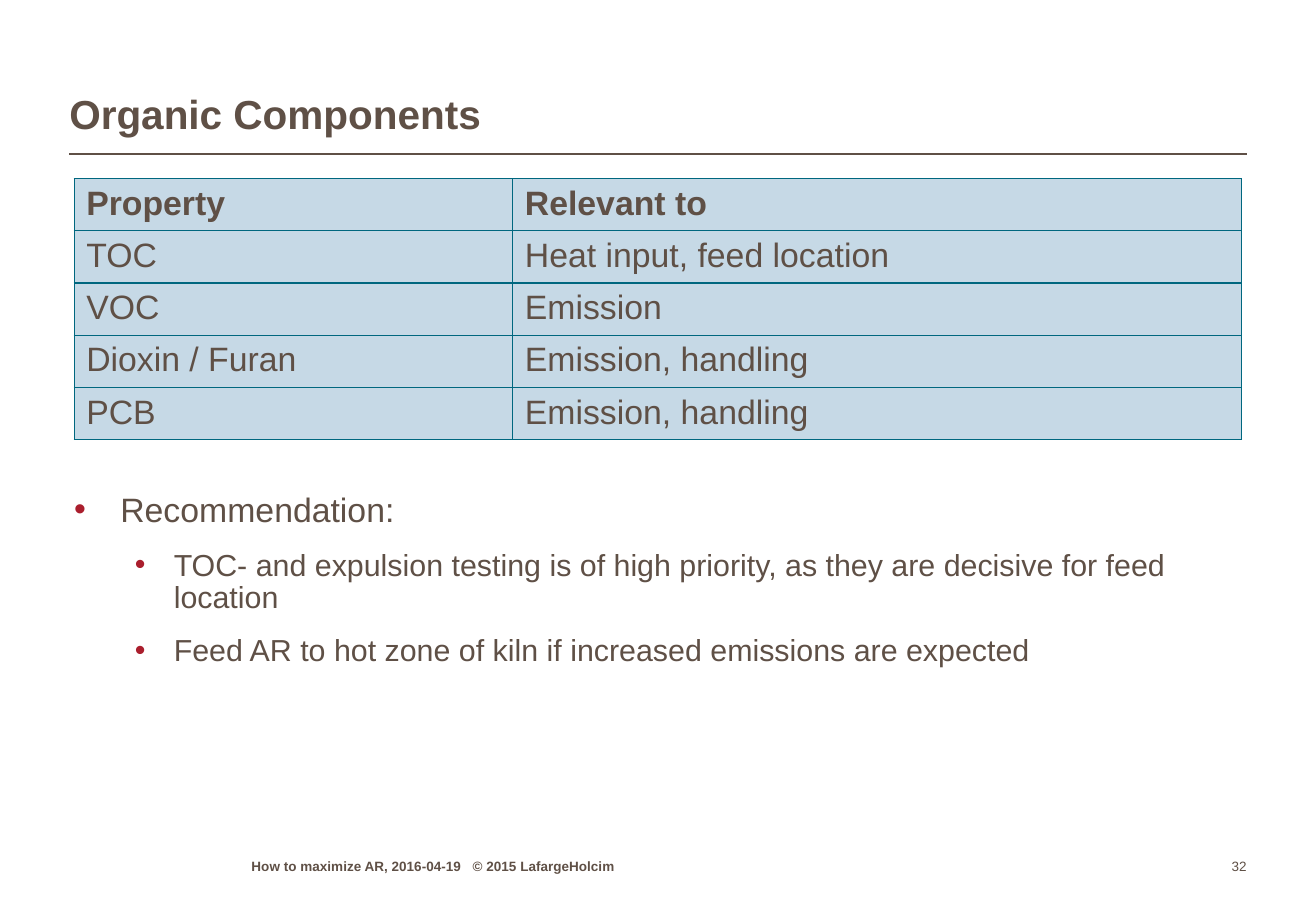
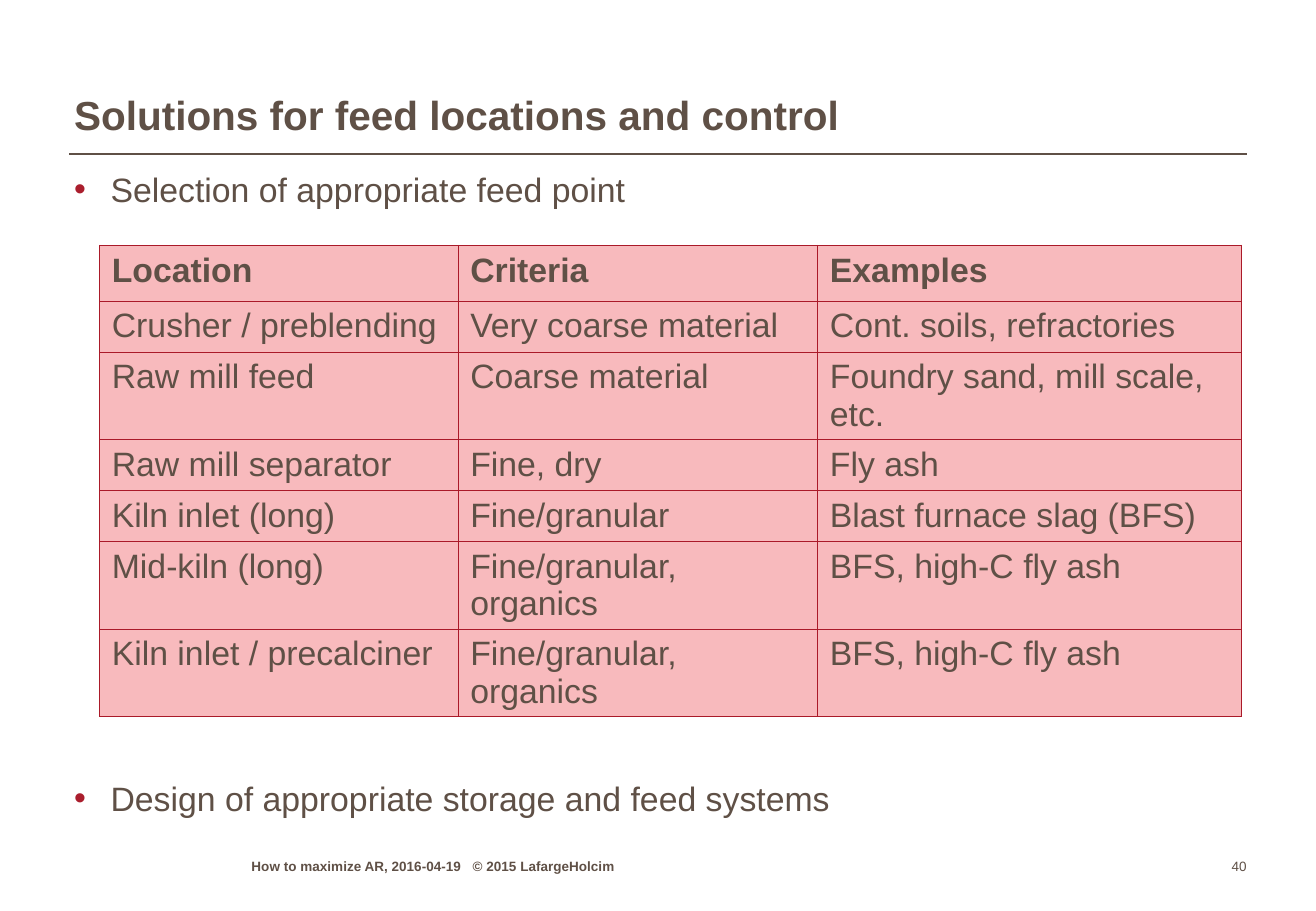
import dataclasses
import lxml.etree
import pptx
import pptx.dml.color
import pptx.enum.shapes
import pptx.enum.text
import pptx.oxml.ns
import pptx.util

Inches = pptx.util.Inches
Pt = pptx.util.Pt
RGB = pptx.dml.color.RGBColor.from_string
ALIGN = pptx.enum.text.PP_ALIGN
ANCHOR = pptx.enum.text.MSO_ANCHOR


@dataclasses.dataclass(frozen=True)
class Theme:
    font: str = "Arial"
    ink: str = "5F5046"
    bullet: str = "AA1E2D"
    blue: tuple = ("C6D9E6", "00677F")
    pink: tuple = ("F8BABD", "AA1A29")
    title: int = 24
    body: int = 20
    sub: int = 18
    small: int = 8
    gap: int = 12


def add(parent, tag, **attrs):
    return lxml.etree.SubElement(parent, pptx.oxml.ns.qn(tag), attrs)


class Deck:
    """Builds slides that share one theme, title rule and footer."""

    def __init__(self, theme):
        self.theme = theme
        self.file = pptx.Presentation()
        self.file.slide_width = Inches(10.83)
        self.file.slide_height = Inches(7.5)

    def start(self, title, number, left=0.57, base=1.14):
        layout = self.file.slide_layouts[1]
        self.slide = self.file.slides.add_slide(layout)
        self.rule()
        shape = self.slide.shapes.title
        frame = self.frame(shape, (left, 0.25, 9.65, base - 0.25), ANCHOR.BOTTOM)
        frame.text = title
        self.style(frame.paragraphs[0], self.theme.title, True, 0.95)
        self.foot(number)

    def rule(self):
        line = self.slide.shapes.add_connector(
            pptx.enum.shapes.MSO_CONNECTOR.STRAIGHT,
            Inches(0.57), Inches(1.27), Inches(10.26), Inches(1.27))
        line.line.color.rgb = RGB(self.theme.ink)
        line.line.width = Pt(1)
        add(line._element.spPr, "a:effectLst")

    def foot(self, number):
        note = self.label("How to maximize AR, 2016-04-19\t© 2015 LafargeHolcim", 2.07, 3.47)
        tabs = add(note._p.get_or_add_pPr(), "a:tabLst")
        add(tabs, "a:tab", pos=str(Inches(1.82)), algn="l")
        self.style(note, self.theme.small, True)
        page = self.label(str(number), 9.79, 0.47)
        self.style(page, self.theme.small, align=ALIGN.RIGHT)

    def label(self, text, left, width):
        box = self.slide.shapes.add_textbox(0, 0, 0, 0)
        frame = self.frame(box, (left, 7.02, width, 0.18), ANCHOR.BOTTOM)
        frame.text = text
        return frame.paragraphs[0]

    def frame(self, shape, area, anchor):
        shape.left, shape.top, shape.width, shape.height = map(Inches, area)
        frame = shape.text_frame
        frame.margin_left = frame.margin_right = 0
        frame.margin_top = frame.margin_bottom = 0
        frame.vertical_anchor = anchor
        frame.word_wrap = True
        frame.auto_size = pptx.enum.text.MSO_AUTO_SIZE.NONE
        return frame

    def style(self, para, size, bold=False, pitch=1.0, align=ALIGN.LEFT):
        para.alignment = align
        para.line_spacing = pitch
        for run in para.runs:
            run.font.name = self.theme.font
            run.font.size = Pt(size)
            run.font.bold = bold
            run.font.color.rgb = RGB(self.theme.ink)

    def bullets(self, items, area, indents, pitch=1.0, gap=None):
        frame = self.frame(self.slide.placeholders[1], area, ANCHOR.TOP)
        frame.text = "\n".join(text for text, _ in items)
        sizes = self.theme.body, self.theme.sub
        for index, (para, (_, level)) in enumerate(zip(frame.paragraphs, items)):
            para.level = level
            margin, hang = indents[level]
            props = para._p.get_or_add_pPr()
            props.set("marL", str(Inches(margin)))
            props.set("indent", str(-Inches(hang)))
            add(add(props, "a:buClr"), "a:srgbClr", val=self.theme.bullet)
            add(props, "a:buFont", typeface=self.theme.font)
            add(props, "a:buChar", char="•")
            para.space_before = Pt((gap or self.theme.gap) if index else 0)
            self.style(para, sizes[level], pitch=pitch)

    def table(self, rows, left, top, widths, heights, colors):
        grid = self.slide.shapes.add_table(
            len(rows), len(widths), Inches(left), Inches(top),
            Inches(sum(widths)), Inches(sum(heights))).table
        grid.horz_banding = False
        for col, width in zip(grid.columns, widths):
            col.width = Inches(width)
        for index, (row, height) in enumerate(zip(rows, heights)):
            grid.rows[index].height = Inches(height)
            for cell, text in zip(grid.rows[index].cells, row):
                cell.text = text
                self.style(cell.text_frame.paragraphs[0], self.theme.body, index == 0)
                self.paint(cell, *colors)

    def paint(self, cell, fill, edge):
        props = cell._tc.get_or_add_tcPr()
        for side in "LRTB":
            line = add(props, f"a:ln{side}", w=str(Pt(0.75)))
            add(add(line, "a:solidFill"), "a:srgbClr", val=edge)
        cell.fill.solid()
        cell.fill.fore_color.rgb = RGB(fill)


def main():
    theme = Theme()
    deck = Deck(theme)

    deck.start("Organic Components", 32)
    deck.bullets([
        ("Recommendation:", 0),
        ("TOC- and expulsion testing is of high priority, as they are decisive for feed location", 1),
        ("Feed AR to hot zone of kiln if increased emissions are expected", 1),
    ], (0.61, 4.06, 9.61, 2.9), [(0.38, 0.38), (0.82, 0.32)], 0.9)
    deck.table([
        ("Property", "Relevant to"),
        ("TOC", "Heat input, feed location"),
        ("VOC", "Emission"),
        ("Dioxin / Furan", "Emission, handling"),
        ("PCB", "Emission, handling"),
    ], 0.61, 1.47, [3.61, 6], [0.43] * 5, theme.blue)

    deck.start("Solutions for feed locations and control", 40, 0.61, 1.15)
    deck.bullets([
        ("Selection of appropriate feed point", 0),
        ("Design of appropriate storage and feed systems", 0),
    ], (0.61, 1.39, 9.61, 5.59), [(0.3, 0.3)], gap=337)
    one, two = 0.42, 0.72
    deck.table([
        ("Location", "Criteria", "Examples"),
        ("Crusher / preblending", "Very coarse material", "Cont. soils, refractories"),
        ("Raw mill feed", "Coarse material", "Foundry sand, mill scale, etc."),
        ("Raw mill separator", "Fine, dry", "Fly ash"),
        ("Kiln inlet (long)", "Fine/granular", "Blast furnace slag (BFS)"),
        ("Mid-kiln (long)", "Fine/granular, organics", "BFS, high-C fly ash"),
        ("Kiln inlet / precalciner", "Fine/granular, organics", "BFS, high-C fly ash"),
    ], 0.82, 2.02, [2.95, 2.96, 3.49], [0.46, one, two, one, one, two, two], theme.pink)

    deck.file.save("out.pptx")


if __name__ == "__main__":
    main()
